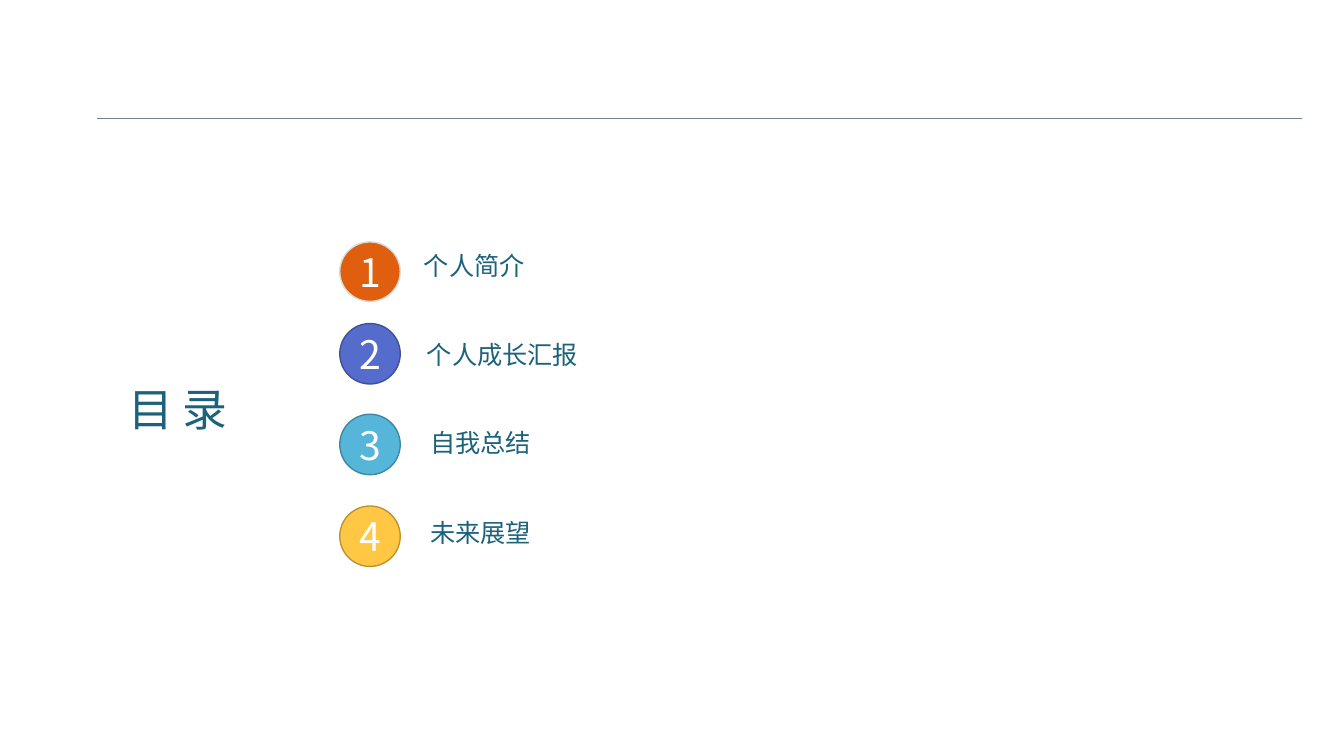
from pptx import Presentation
from pptx.dml.color import RGBColor
from pptx.enum.shapes import MSO_CONNECTOR, MSO_SHAPE
from pptx.enum.text import MSO_ANCHOR, MSO_AUTO_SIZE, PP_ALIGN
from pptx.oxml.ns import qn
from pptx.util import Pt

EMU_PER_PX = 9144
TITLE_ONLY = 5
STRAIGHT = MSO_CONNECTOR.STRAIGHT
OVAL = MSO_SHAPE.OVAL
TOP, MIDDLE = MSO_ANCHOR.TOP, MSO_ANCHOR.MIDDLE
CENTER, JUSTIFY = PP_ALIGN.CENTER, PP_ALIGN.JUSTIFY

FONT = "Noto Sans CJK SC"
COLORS = {
    "text": "1C627B", "white": "FFFFFF", "rule": "6F8585",
    "orange": "DF5F0F", "orange edge": "D9D9D9",
    "indigo": "556CCC", "indigo edge": "3F5097",
    "sky": "55B6D9", "sky edge": "3F87A1",
    "yellow": "FFC744", "yellow edge": "BD9332",
}

# label, color, badge top and height, label left, top and width, label anchor
CHAPTERS = [
    ("个人简介", "orange", 240, 59, 347, 243, 247, TOP),
    ("个人成长汇报", "indigo", 321, 60, 375, 325, 247, MIDDLE),
    ("自我总结", "sky", 411, 60, 331, 412, 291, MIDDLE),
    ("未来展望", "yellow", 502, 60, 331, 502, 291, MIDDLE),
]
BADGE_LEFT, BADGE_WIDTH, LABEL_HEIGHT = 337, 60, 53


def px(*lengths):
    return [length * EMU_PER_PX for length in lengths]


def color(name):
    return RGBColor.from_string(COLORS[name])


def write(shape, text, size=18, ink="text", align=CENTER, anchor=MIDDLE):
    frame = shape.text_frame
    frame.word_wrap = True
    frame.auto_size = MSO_AUTO_SIZE.NONE
    frame.vertical_anchor = anchor
    paragraph = frame.paragraphs[0]
    paragraph.alignment = align
    paragraph.line_spacing = 1.0
    span = paragraph.add_run()
    span.text = text
    span.font.size = Pt(size)
    span.font.name = FONT
    span.font.color.rgb = color(ink)
    east_asian = span.font._element.makeelement(qn("a:ea"), {"typeface": FONT})
    span.font._element.find(qn("a:latin")).addnext(east_asian)


class Page:
    def __init__(self, deck):
        self.slide = deck.slides.add_slide(deck.slide_layouts[TITLE_ONLY])
        self.shapes = self.slide.shapes

    def title(self, text, left, top, width, height):
        title = self.shapes.title
        title.left, title.top, title.width, title.height = px(left, top, width, height)
        write(title, text, size=32, align=JUSTIFY, anchor=TOP)

    def rule(self, left, right, top):
        line = self.shapes.add_connector(STRAIGHT, *px(left, top, right, top))
        line.line.color.rgb = color("rule")
        line.line.width = Pt(0.25)
        properties = line._element.spPr
        properties.append(properties.makeelement(qn("a:effectLst"), {}))

    def badge(self, number, fill, left, top, width, height):
        circle = self.shapes.add_shape(OVAL, *px(left, top, width, height))
        circle.shadow.inherit = False
        circle.fill.solid()
        circle.fill.fore_color.rgb = color(fill)
        circle.line.color.rgb = color(f"{fill} edge")
        circle.line.width = Pt(1)
        write(circle, str(number), size=28, ink="white")

    def label(self, text, left, top, width, height, anchor):
        box = self.shapes.add_textbox(*px(left, top, width, height))
        write(box, text, anchor=anchor)


def main():
    deck = Presentation()
    deck.slide_width, deck.slide_height = px(1333, 750)
    page = Page(deck)
    page.rule(96, 1291, 117)
    page.title("目 录", 117, 374, 141, 64)
    for number, chapter in enumerate(CHAPTERS, start=1):
        text, fill, badge_top, badge_height, left, top, width, anchor = chapter
        page.badge(number, fill, BADGE_LEFT, badge_top, BADGE_WIDTH, badge_height)
        page.label(text, left, top, width, LABEL_HEIGHT, anchor)
    deck.save("out.pptx")


if __name__ == "__main__":
    main()
